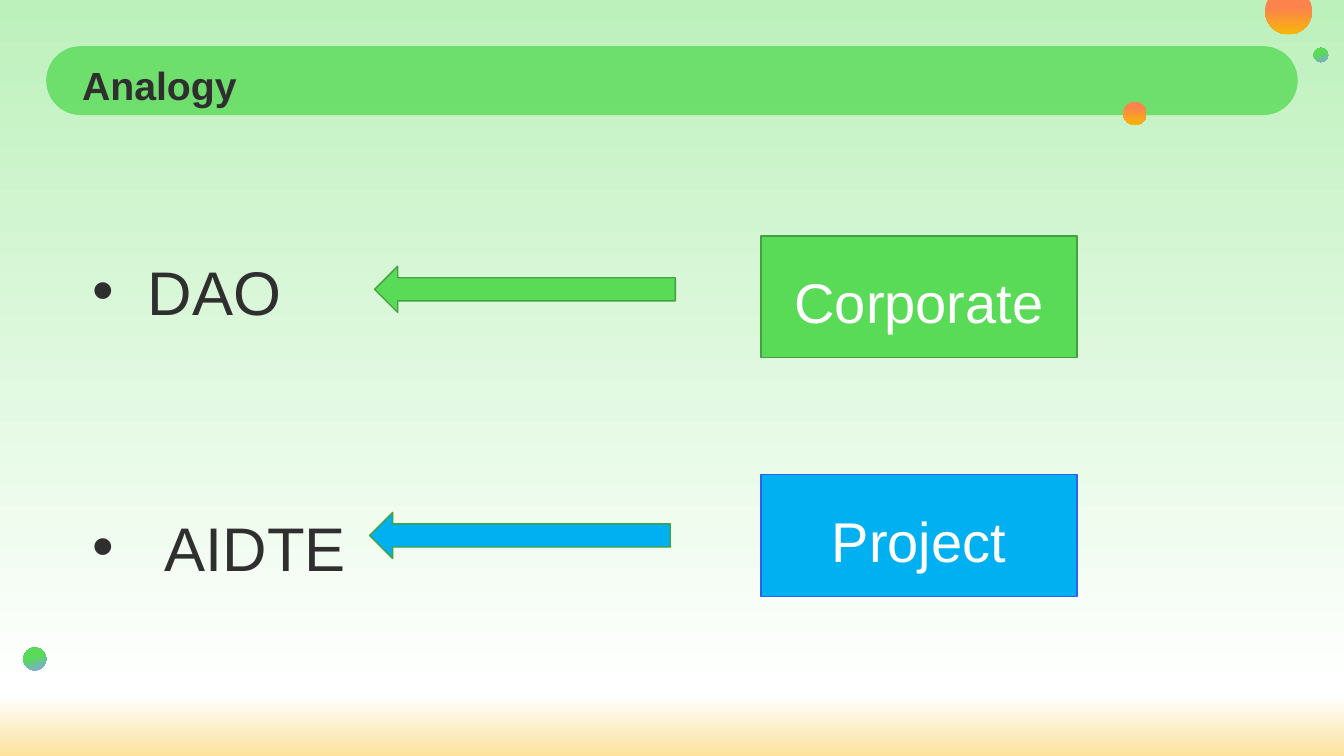
from math import cos, sin, tau

from lxml.etree import SubElement
from pptx import Presentation
from pptx.dml.color import RGBColor
from pptx.enum.shapes import MSO_SHAPE as Shape
from pptx.enum.text import MSO_ANCHOR as Anchor, PP_ALIGN as Align
from pptx.oxml.ns import qn
from pptx.util import Emu, Inches, Pt

COLORS = {
    "green": "59DB58", "green_edge": "42A241",
    "blue": "00B0F0", "blue_edge": "2F61EC",
    "ink": "2F2F2F", "white": "FFFFFF",
    "mint": "BDF1BC", "cream": "FCE29C",
    "coral": "FC834C", "amber": "F8B707", "lilac": "86A3F4",
}
COLUMNS, ROWS = 16, 9
SUNSET = ([(23, "coral"), (100, "amber")], 90)
MEADOW = ([(0, "lilac"), (56, "green")], 250)


class SlideBuilder:
    """Places styled elements on a grid of 16 columns by 9 rows."""

    def __init__(self, deck, font="Arial"):
        self.slide = deck.slides.add_slide(deck.slide_layouts[6])
        self.cell_w = deck.slide_width / COLUMNS
        self.cell_h = deck.slide_height / ROWS
        self.font = font

    def x(self, columns):
        return Emu(round(columns * self.cell_w))

    def y(self, rows):
        return Emu(round(rows * self.cell_h))

    def place(self, left, top, width, height):
        return self.x(left), self.y(top), self.x(width), self.y(height)

    def gradient(self, fill, owner, stops, angle):
        fill.gradient()
        grad = owner.find(".//" + qn("a:gradFill"))
        for child in list(grad):
            grad.remove(child)
        stop_list = SubElement(grad, qn("a:gsLst"))
        for percent, color in stops:
            stop = SubElement(stop_list, qn("a:gs"), pos=str(percent * 1000))
            SubElement(stop, qn("a:srgbClr"), val=COLORS[color])
        SubElement(grad, qn("a:lin"), ang=str(angle * 60000), scaled="0")

    def background(self, stops, angle):
        self.gradient(self.slide.background.fill, self.slide.element, stops, angle)

    def shape(self, kind, box, color, edge=None, alpha=None):
        shape = self.slide.shapes.add_shape(kind, *self.place(*box))
        shape.shadow.inherit = False
        shape.fill.solid()
        shape.fill.fore_color.rgb = RGBColor.from_string(COLORS[color])
        if alpha:
            tint = shape.element.spPr.find(".//" + qn("a:srgbClr"))
            SubElement(tint, qn("a:alpha"), val=str(alpha * 1000))
        if edge:
            shape.line.color.rgb = RGBColor.from_string(COLORS[edge])
            shape.line.width = Pt(1)
        else:
            shape.line.fill.background()
        return shape

    def dot(self, left, top, size, shading):
        dot = self.shape(Shape.OVAL, (left, top, size, size), "green")
        self.gradient(dot.fill, dot.element.spPr, *shading)

    def cut_dot(self, center_x, center_y, radius, shading, steps=72):
        """A circle cut flat by the top edge of the slide."""
        rim = [(self.x(center_x + radius * cos(tau * i / steps)),
                self.y(max(0, center_y + radius * sin(tau * i / steps))))
               for i in range(steps)]
        outline = self.slide.shapes.build_freeform(*rim[0])
        outline.add_line_segments(rim[1:], close=True)
        dot = outline.convert_to_shape()
        dot.shadow.inherit = False
        dot.line.fill.background()
        self.gradient(dot.fill, dot.element.spPr, *shading)

    def text_frame(self, box, anchor=Anchor.TOP):
        frame = self.slide.shapes.add_textbox(*self.place(*box)).text_frame
        frame.word_wrap = True
        frame.vertical_anchor = anchor
        return frame

    def run(self, paragraph, text, size, color="ink", bold=False):
        run = paragraph.add_run()
        run.text = text
        run.font.name = self.font
        run.font.size = Pt(size)
        run.font.bold = bold
        run.font.color.rgb = RGBColor.from_string(COLORS[color])

    def title(self, text, box):
        self.run(self.text_frame(box, Anchor.BOTTOM).paragraphs[0], text, 28, bold=True)

    def bullets(self, items, box, top_inset, gap):
        frame = self.text_frame(box)
        frame.margin_top = self.y(top_inset)
        for index, (text, hang) in enumerate(items):
            paragraph = frame.add_paragraph() if index else frame.paragraphs[0]
            paragraph.space_before = Pt(gap if index else 0)
            props = paragraph._p.get_or_add_pPr()
            props.set("marL", str(self.x(hang)))
            props.set("indent", str(-self.x(hang)))
            SubElement(props, qn("a:buFont"), typeface=self.font)
            SubElement(props, qn("a:buChar"), char="•")
            self.run(paragraph, text, 44)

    def card(self, text, box, color, edge):
        frame = self.shape(Shape.RECTANGLE, box, color, edge).text_frame
        frame.word_wrap = True
        frame.vertical_anchor = Anchor.MIDDLE
        frame.margin_top = self.y(0.16)
        frame.paragraphs[0].alignment = Align.CENTER
        self.run(frame.paragraphs[0], text, 40, "white")


def main():
    deck = Presentation()
    deck.slide_width, deck.slide_height = Inches(13.33), Inches(7.5)
    page = SlideBuilder(deck)

    # Backdrop and title band
    page.background([(0, "mint"), (92, "white"), (100, "cream")], 90)
    band = page.shape(Shape.ROUNDED_RECTANGLE, (0.55, 0.55, 14.9, 0.82), "green", alpha=80)
    band.adjustments[0] = 0.5

    # Decorative dots
    page.cut_dot(15.34, 0.13, 0.28, SUNSET)
    page.dot(0.28, 7.71, 0.27, MEADOW)
    page.dot(15.64, 0.57, 0.17, MEADOW)
    page.dot(13.37, 1.21, 0.28, SUNSET)

    # Title and terms
    page.title("Analogy", (0.86, 0.17, 14.26, 1.18))
    page.bullets([("DAO", 0.66), ("AIDTE", 0.86)], (0.98, 1.58, 14.26, 6.56),
                 top_inset=1.44, gap=130)

    # Each counterpart card with the arrow to its term
    pairs = [
        ("Corporate", 2.81, (4.46, 3.17), "green", "green_edge"),
        ("Project", 5.65, (4.4, 6.1), "blue", "blue_edge"),
    ]
    for label, card_top, arrow_start, color, edge in pairs:
        page.shape(Shape.LEFT_ARROW, (*arrow_start, 3.58, 0.55), color, "green_edge")
        page.card(label, (9.06, card_top, 3.76, 1.45), color, edge)

    deck.save("out.pptx")


if __name__ == "__main__":
    main()
